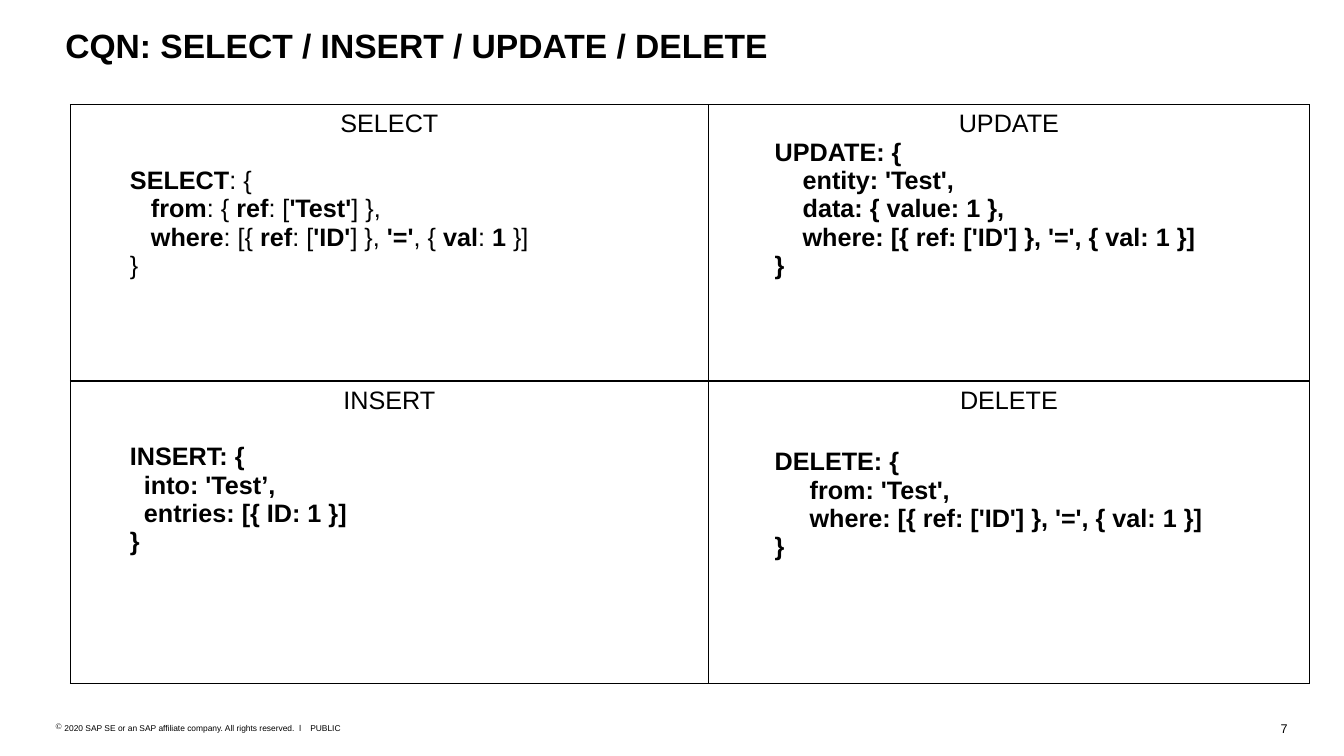
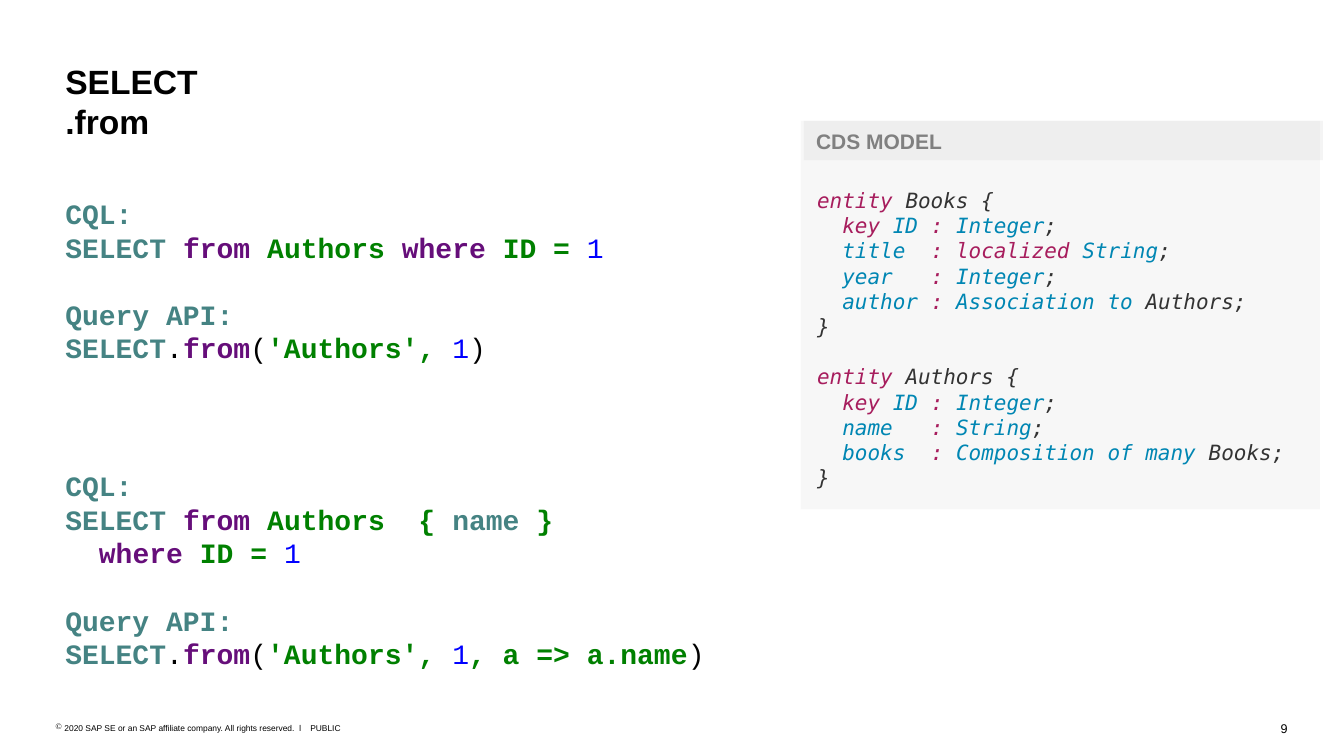
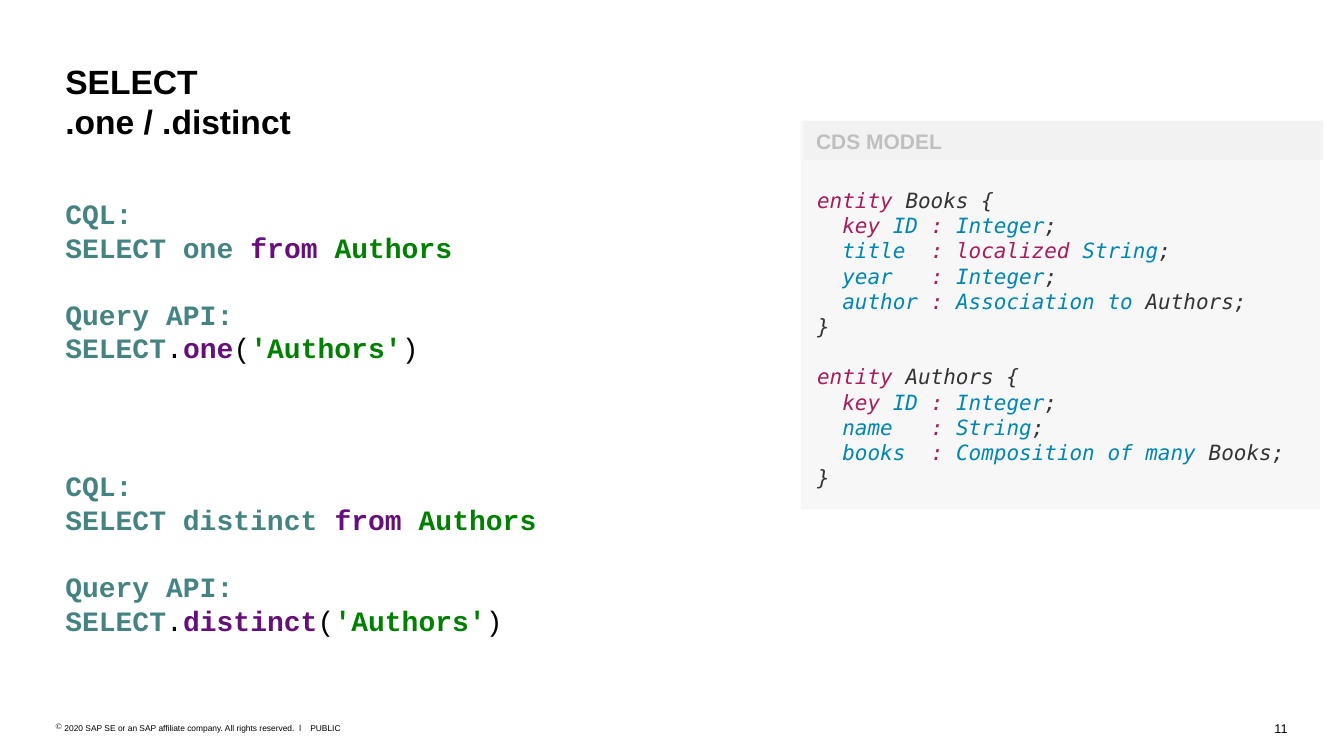
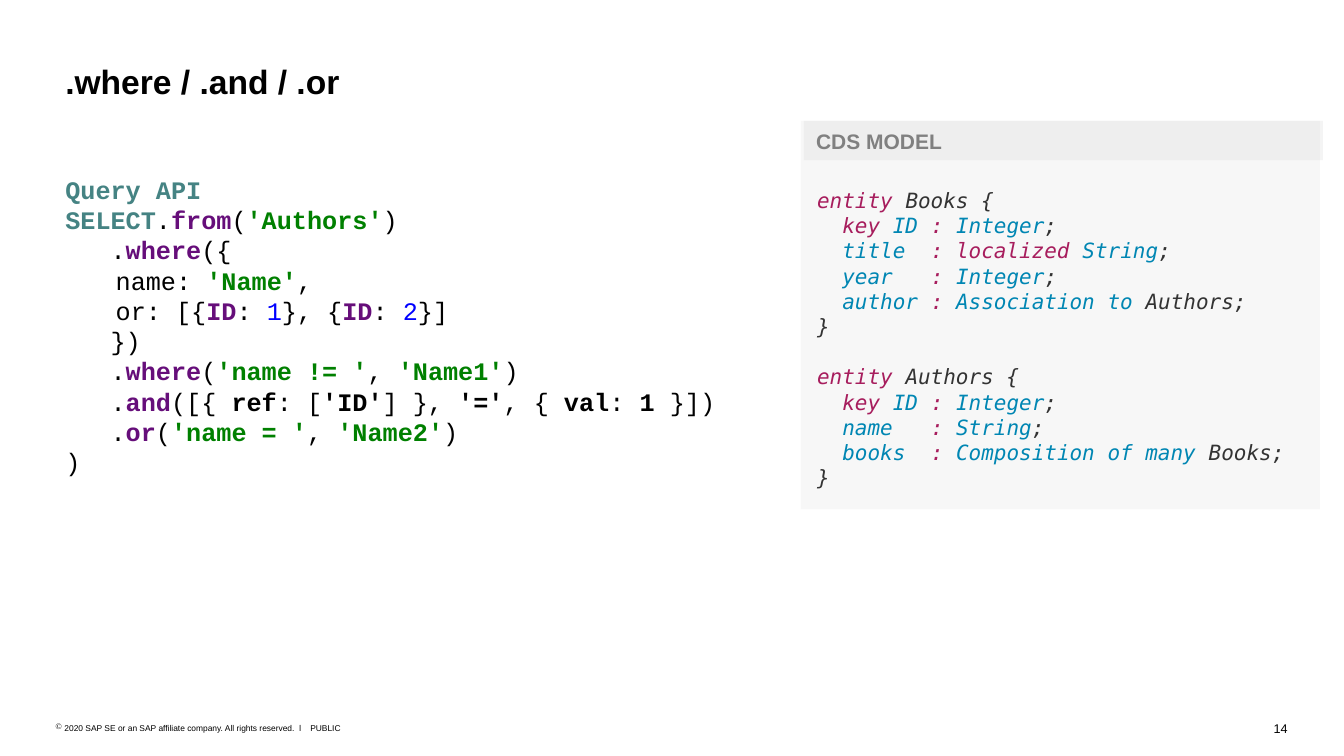
from pptx import Presentation, util as u
from pptx.dml.color import RGBColor
from pptx.enum import shapes, text
from pptx.oxml.ns import qn
from lxml import etree

COLORS = {"black": "000000", "teal": "458383", "purple": "660E7A", "green": "008000",
          "blue": "0000FF", "red": "A71D5D", "cyan": "0086B3", "dark": "333333",
          "grey": "808080", "panel": "F2F2F2", "band": "D9D9D9"}

# Run styles: colour, bold, italic
STYLES = {"k": ("black", False, False), "b": ("black", True, False),
          "t": ("teal", True, False), "p": ("purple", True, False),
          "g": ("green", True, False), "n": ("blue", False, False),
          "r": ("red", False, True), "c": ("cyan", False, True),
          "d": ("dark", False, True), "h": ("grey", True, False)}

COPYRIGHT = "k|2020 SAP SE or an SAP affiliate company. All rights reserved.  ǀ"

MODEL = ["r|entity|d| Books {",
         "c|  |r|key |c|ID |r|: |c|Integer|d|;",
         "c|  title  |r|: localized |c|String|d|;",
         "c|  year   |r|:|c| Integer|d|;",
         "c|  author |r|: |c|Association to|d| Authors;",
         "d|}",
         "^r|entity|d| Authors {",
         "c|  |r|key |c|ID |r|: |c|Integer|d|;",
         "c|  name   |r|: |c|String|d|;",
         "c|  books  |r|: |c|Composition of many|d| Books;",
         "d|}"]

# Table cells: heading, code indent, gap under the heading in points, code
QUERIES = [
    [("SELECT", 0.49, 20.25,
      ["b|SELECT|k|: {",
       "k|   |b|from|k|: { |b|ref|k|: [|b|'Test'|k|] },",
       "k|   |b|where|k|: [{ |b|ref|k|: [|b|'ID'|k|] }, |b|'='|k|, { |b|val|k|: |b|1 |k|}]",
       "k|}"]),
     ("UPDATE", 0.56, 0,
      ["b|UPDATE: {", "b|    entity: 'Test',", "b|    data: { value: 1 },",
       "b|    where: [{ ref: ['ID'] }, '=', { val: 1 }]", "b|}"])],
    [("INSERT", 0.49, 20.25,
      ["b|INSERT: {", "b|  into: 'Test’,", "b|  entries: [{ ID: 1 }]", "b|}"]),
     ("DELETE", 0.56, 24,
      ["b|DELETE: {", "b|     from: 'Test',",
       "b|     where: [{ ref: ['ID'] }, '=', { val: 1 }]", "b|}"])]]

# Slides: page, title lines, title top, model order, code boxes (top, height, size, lines)
SLIDES = [
    (7, ["b|CQN: SELECT / INSERT / UPDATE / DELETE"], 0.2, "", []),
    (9, ["b|SELECT", "b|.from"], 0.55, "panel band", [
        (4.6, 2.12, 20, ["t|CQL:",
                         "t|SELECT |p|from |g|Authors  { |t|name |g|}",
                         "t|  |p|where |g|ID = |n|1",
                         "^t|Query API:",
                         "t|SELECT|k|.|p|from|k|(|g|'Authors', |n|1|g|, a => a.name|k|)"]),
        (1.9, 1.78, 20, ["t|CQL:",
                         "t|SELECT |p|from |g|Authors |p|where |g|ID = |n|1",
                         "^t|Query API:",
                         "t|SELECT|k|.|p|from|k|(|g|'Authors', |n|1|k|)"])]),
    (11, ["b|SELECT", "b|.one / .distinct"], 0.55, "band panel", [
        (4.6, 1.78, 20, ["t|CQL:", "t|SELECT distinct |p|from |g|Authors",
                         "^t|Query API:", "t|SELECT|k|.|p|distinct|k|(|g|'Authors'|k|)"]),
        (1.9, 1.78, 20, ["t|CQL:", "t|SELECT one |p|from |g|Authors",
                         "^t|Query API:", "t|SELECT|k|.|p|one|k|(|g|'Authors'|k|)"])]),
    (14, ["b|.where / .and / .or"], 0.55, "panel band", [
        (1.68, 3.13, 18, [
            "t|Query API",
            "t|SELECT|k|.|p|from|k|(|g|'Authors'|k|)",
            "k|   .|p|where|k|({",
            "k|  \tname: |g|'Name'|k|,",
            "k|  \tor: [{|p|ID|k|: |n|1|k|}, {|p|ID|k|: |n|2|k|}]",
            "k|   })",
            "k|   .|p|where|k|(|g|'name != '|k|, |g|'Name1'|k|)",
            "k|   .|p|and|k|([{ |b|ref|k|: [|b|'ID'|k|] }, |b|'='|k|, { |b|val|k|: |b|1 |k|}])",
            "k|   .|p|or|k|(|g|'name = '|k|, |g|'Name2'|k|)",
            "k|)"])]),
]


def write(tf, lines, size, font="Arial", pitch=None, **margins):
    """Fill a frame with 'style|text|style|text' lines; ^ leaves one line of space."""
    tf.word_wrap = True
    for side, inches in margins.items():
        setattr(tf, "margin_" + side, u.Inches(inches))
    for i, line in enumerate(lines):
        p = tf.paragraphs[0] if i == 0 else tf.add_paragraph()
        p.alignment = text.PP_ALIGN.LEFT
        if pitch:
            p.line_spacing = u.Pt(pitch)
        if line.startswith("^"):
            p.space_before = u.Pt(pitch)
        parts = line.lstrip("^").split("|")
        for style, words in zip(parts[::2], parts[1::2]):
            color, bold, italic = STYLES[style]
            r = p.add_run()
            r.text = words
            look = {"name": font, "size": u.Pt(size), "bold": bold, "italic": italic}
            for key, value in look.items():
                setattr(r.font, key, value)
            r.font.color.rgb = RGBColor.from_string(COLORS[color])


def textbox(s, box, lines, size, **options):
    tf = s.shapes.add_textbox(*map(u.Inches, box)).text_frame
    write(tf, lines, size, **options)
    return tf


prs = Presentation()
prs.slide_width, prs.slide_height = u.Inches(13.34), u.Inches(7.5)
flush = dict.fromkeys(("left", "top", "right", "bottom"), 0)

for page, title, title_top, model_order, code_boxes in SLIDES:
    s = prs.slides.add_slide(prs.slide_layouts[6])

    # Footer
    tf = textbox(s, (12.28, 7.15, 0.5, 0.15), [f"k|{page}"], 9, **flush)
    tf.paragraphs[0].alignment = text.PP_ALIGN.RIGHT
    textbox(s, (3.08, 7.17, 0.4, 0.1), ["k|PUBLIC"], 6, **flush)
    tf = textbox(s, (0.55, 7.17, 2.48, 0.1), [COPYRIGHT], 6, **flush)
    pPr = tf.paragraphs[0]._p.get_or_add_pPr()
    pPr.set("marL", str(u.Inches(0.09)))
    pPr.set("indent", str(u.Inches(-0.09)))
    etree.SubElement(pPr, qn("a:buChar")).set("char", "©")

    # Title
    textbox(s, (0.55, title_top, 12.23, 0.91), title, 24, pitch=28.8)

    # Code under the model panel on the last slide, beside it on the others
    for top, height, size, lines in code_boxes:
        textbox(s, (0.55, top, 7.2, height), lines, size, font="Courier New", pitch=size * 1.2)

    # Model panel and its heading band
    for part in model_order.split():
        box, alpha = {"panel": ((7.95, 1.2, 5.15, 3.85), 56),
                      "band": ((7.98, 1.2, 5.15, 0.39), 28)}[part]
        sp = s.shapes.add_shape(shapes.MSO_SHAPE.RECTANGLE, *map(u.Inches, box))
        sp.shadow.inherit = False
        sp.line.fill.background()
        sp.fill.solid()
        sp.fill.fore_color.rgb = RGBColor.from_string(COLORS[part])
        color = sp.fill._xPr.find(qn("a:solidFill"))[0]
        etree.SubElement(color, qn("a:alpha")).set("val", str(alpha * 1000))
        if part == "panel":
            sp.text_frame.vertical_anchor = text.MSO_ANCHOR.TOP
            write(sp.text_frame, MODEL, 15, "DejaVu Sans Mono", 18,
                  left=0.16, top=0.66, right=0, bottom=0.16)
        else:
            sp.text_frame.vertical_anchor = text.MSO_ANCHOR.MIDDLE
            write(sp.text_frame, ["h|CDS MODEL"], 15, left=0.12, top=0, right=0, bottom=0)

# Query table on the first slide
frame = prs.slides[0].shapes.add_table(2, 2, *map(u.Inches, (0.7, 1.04, 12.3, 5.74)))
table = frame.table
for col, width in zip(table.columns, (6.33, 5.97)):
    col.width = u.Inches(width)
for row, height, queries in zip(table.rows, (2.74, 3), QUERIES):
    row.height = u.Inches(height)
    for cell, (heading, indent, gap, code) in zip(row.cells, queries):
        write(cell.text_frame, ["k|" + heading] + code, 18, pitch=20.25)
        first, *rest = cell.text_frame.paragraphs
        first.alignment = text.PP_ALIGN.CENTER
        rest[0].space_before = u.Pt(gap)
        for p in rest:
            p._p.get_or_add_pPr().set("marL", str(u.Inches(indent)))
        cell.fill.background()
        tcPr = cell._tc.get_or_add_tcPr()
        for i, side in enumerate("LRTB"):
            ln = etree.Element(qn("a:ln" + side), w=str(u.Pt(1)))
            fill = etree.SubElement(ln, qn("a:solidFill"))
            etree.SubElement(fill, qn("a:srgbClr")).set("val", COLORS["black"])
            tcPr.insert(i, ln)

prs.save("out.pptx")
